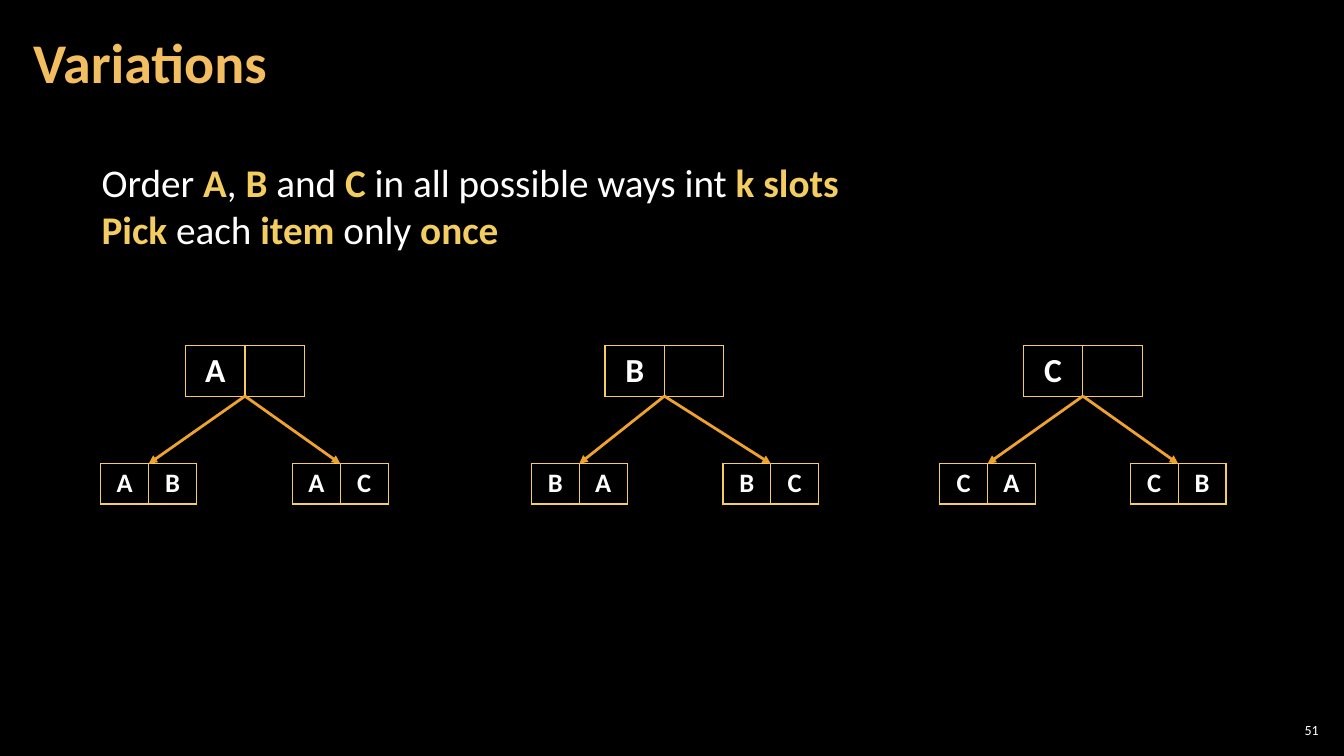
from lxml import etree
from pptx import Presentation
from pptx.dml.color import RGBColor
from pptx.enum.shapes import MSO_CONNECTOR
from pptx.enum.text import MSO_ANCHOR, PP_ALIGN
from pptx.oxml.ns import qn
from pptx.util import Inches, Pt

STRAIGHT = MSO_CONNECTOR.STRAIGHT
MIDDLE = MSO_ANCHOR.MIDDLE
LEFT, CENTER, RIGHT = PP_ALIGN.LEFT, PP_ALIGN.CENTER, PP_ALIGN.RIGHT

BLACK = RGBColor(0x00, 0x00, 0x00)
WHITE = RGBColor(0xFF, 0xFF, 0xFF)
TITLE_GOLD = RGBColor(0xF3, 0xBE, 0x60)
YELLOW = RGBColor(0xF3, 0xCD, 0x60)
ORANGE = RGBColor(0xF0, 0xA2, 0x2E)
FONT = "Calibri"

PARENT_TOP, PARENT_WIDTH, PARENT_HEIGHT = 3.43, 1.18, 0.5
CHILD_TOP, CHILD_WIDTH, CHILD_HEIGHT = 4.6, 0.95, 0.4
TREES = [
    ("A", 1.84, [("B", 1.0), ("C", 2.9)]),
    ("B", 6.0, [("A", 5.27), ("C", 7.17)]),
    ("C", 10.15, [("A", 9.32), ("B", 11.21)]),
]
RULES = [
    [("Order ", False), ("A", True), (", ", False), ("B", True), (" and ", False),
     ("C", True), (" in all possible ways int ", False), ("k slots", True)],
    [("Pick", True), (" each ", False), ("item", True), (" only ", False), ("once", True)],
]


def add_span(para, text, size, color, bold=False):
    span = para.add_run()
    span.text = text
    span.font.name = FONT
    span.font.size = Pt(size)
    span.font.bold = bold
    span.font.color.rgb = color


def add_box(page, left, top, width, height, side_margin=0.1, end_margin=0.05):
    box = page.shapes.add_textbox(Inches(left), Inches(top), Inches(width), Inches(height))
    frame = box.text_frame
    frame.word_wrap = True
    frame.margin_left = frame.margin_right = Inches(side_margin)
    frame.margin_top = frame.margin_bottom = Inches(end_margin)
    return frame


def add_title(page, text):
    frame = add_box(page, 0.21, 0.04, 10.47, 1.21, 0.12, 0.04)
    frame.vertical_anchor = MIDDLE
    para = frame.paragraphs[0]
    para.line_spacing = 0.9
    add_span(para, text, 40, TITLE_GOLD, True)


def add_page_number(page, text):
    frame = add_box(page, 12.65, 7.14, 0.47, 0.21, 0.04, 0.04)
    frame.vertical_anchor = MIDDLE
    para = frame.paragraphs[0]
    para.alignment = RIGHT
    add_span(para, text, 10, WHITE)


def add_rules(page):
    frame = add_box(page, 0.91, 1.52, 7.56, 1.04)
    frame.word_wrap = False
    for index, spans in enumerate(RULES):
        para = frame.add_paragraph() if index else frame.paragraphs[0]
        para.alignment = LEFT
        for text, strong in spans:
            add_span(para, text, 28, YELLOW if strong else WHITE, strong)


def add_borders(cell):
    properties = cell._tc.get_or_add_tcPr()
    for side in ("a:lnL", "a:lnR", "a:lnT", "a:lnB"):
        line = etree.SubElement(properties, qn(side), w=str(Pt(1)))
        fill = etree.SubElement(line, qn("a:solidFill"))
        etree.SubElement(fill, qn("a:srgbClr"), val=str(YELLOW))


def add_slots(page, letters, left, top, width, height, size, side_margin, end_margin):
    frame = page.shapes.add_table(1, len(letters), Inches(left), Inches(top),
                                  Inches(width), Inches(height))
    table = frame.table
    table.first_row = table.horz_banding = False
    for cell, letter in zip(table.rows[0].cells, letters):
        add_borders(cell)
        cell.fill.background()
        cell.margin_left = cell.margin_right = Inches(side_margin)
        cell.margin_top = cell.margin_bottom = Inches(end_margin)
        para = cell.text_frame.paragraphs[0]
        para.alignment = CENTER
        if letter:
            add_span(para, letter, size, WHITE, True)


def add_arrow(page, start_x, start_y, end_x, end_y):
    arrow = page.shapes.add_connector(STRAIGHT, Inches(start_x), Inches(start_y),
                                      Inches(end_x), Inches(end_y))
    arrow.line.color.rgb = ORANGE
    arrow.line.width = Pt(2)
    etree.SubElement(arrow.line._get_or_add_ln(), qn("a:tailEnd"), type="triangle")
    etree.SubElement(arrow._element.spPr, qn("a:effectLst"))


def add_tree(page, first, parent_left, children):
    add_slots(page, [first, ""], parent_left, PARENT_TOP, PARENT_WIDTH, PARENT_HEIGHT,
              24, 0.1, 0.05)
    for second, child_left in children:
        add_slots(page, [first, second], child_left, CHILD_TOP, CHILD_WIDTH, CHILD_HEIGHT,
                  19, 0.08, 0.04)
        add_arrow(page, parent_left + PARENT_WIDTH / 2, PARENT_TOP + PARENT_HEIGHT,
                  child_left + CHILD_WIDTH / 2, CHILD_TOP)


def main():
    deck = Presentation()
    deck.slide_width, deck.slide_height = Inches(13.33), Inches(7.5)
    page = deck.slides.add_slide(deck.slide_layouts[6])
    page.background.fill.solid()
    page.background.fill.fore_color.rgb = BLACK
    add_title(page, "Variations")
    add_rules(page)
    for first, parent_left, children in TREES:
        add_tree(page, first, parent_left, children)
    add_page_number(page, "51")
    deck.save("out.pptx")


if __name__ == "__main__":
    main()
